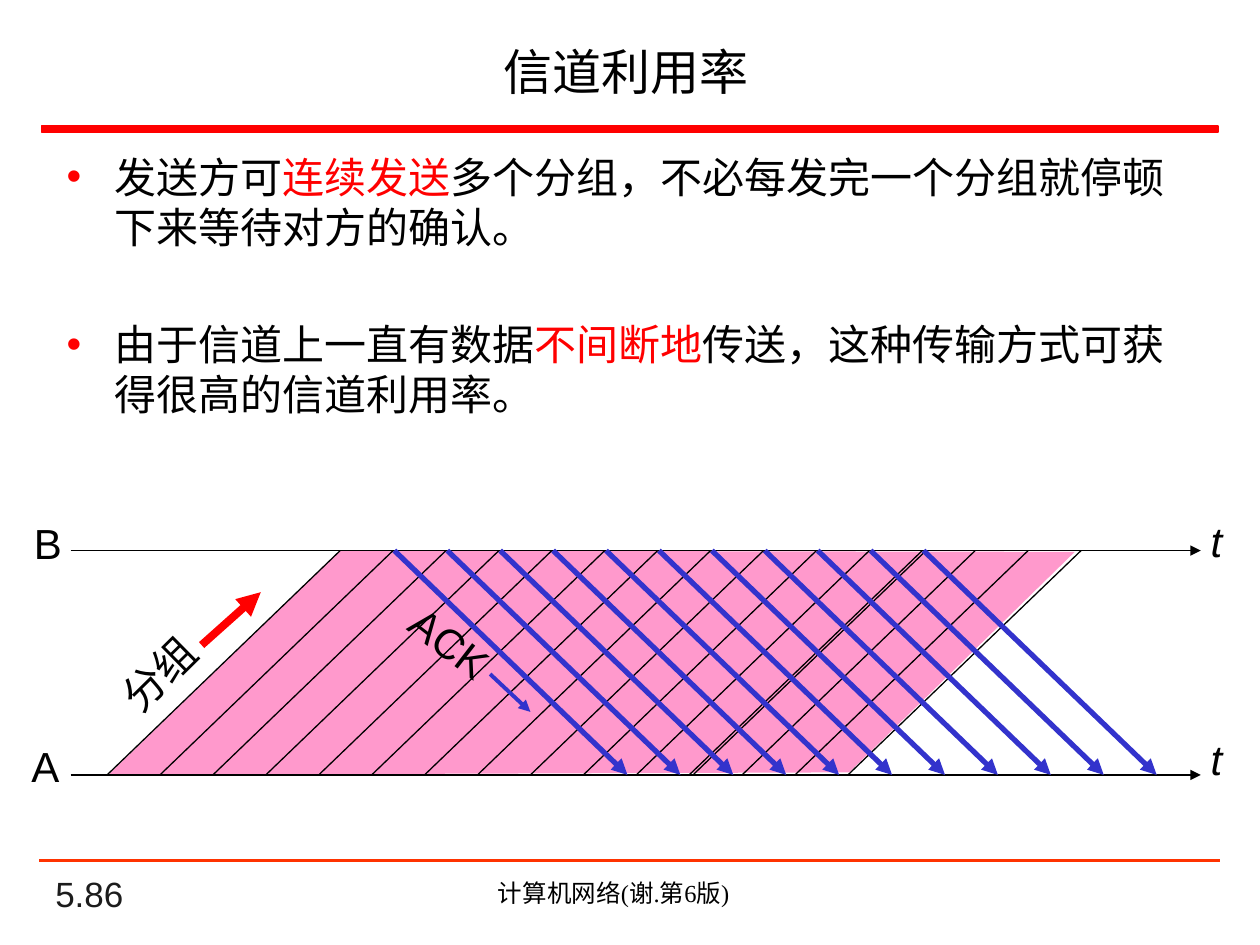
"""Build the channel utilisation slide with its pipelined packet timing diagram."""
from pptx import Presentation
from pptx.dml.color import RGBColor
from pptx.enum.shapes import MSO_CONNECTOR, MSO_SHAPE
from pptx.enum.text import MSO_ANCHOR, PP_ALIGN
from pptx.oxml.ns import qn
from pptx.util import Inches, Pt
from lxml.etree import SubElement

BLACK = RGBColor(0x00, 0x00, 0x00)
GRAY = RGBColor(0x1C, 0x1C, 0x1C)
RED = RGBColor(0xFF, 0x00, 0x00)
ORANGE = RGBColor(0xFF, 0x33, 0x00)
PINK = RGBColor(0xFF, 0x99, 0xCC)
BLUE = RGBColor(0x33, 0x33, 0xCC)

TOP, BOTTOM = 4.37, 6.15
STEP, SLANT = 0.42, 1.85

prs = Presentation()
prs.slide_width, prs.slide_height = Inches(10), Inches(7.5)
s = prs.slides.add_slide(prs.slide_layouts[6])


def add_text(text, x, y, w, h, size=24, font="Arial", color=BLACK, align=PP_ALIGN.LEFT,
             anchor=MSO_ANCHOR.TOP, wrap=True, italic=False, rotation=0, bullet=False, gap=0):
    """Add a text box; newlines part paragraphs and bars enclose red words."""
    box = s.shapes.add_textbox(Inches(x), Inches(y), Inches(w), Inches(h))
    box.rotation = rotation
    tf = box.text_frame
    tf.word_wrap, tf.vertical_anchor = wrap, anchor
    for i, para in enumerate(text.split("\n")):
        p = tf.paragraphs[0] if i == 0 else tf.add_paragraph()
        p.alignment = align
        p.space_before = Pt(gap if i else 0)
        if bullet:
            pPr = p._p.get_or_add_pPr()
            pPr.set("marL", str(Inches(0.38)))
            pPr.set("indent", str(-Inches(0.38)))
            clr = SubElement(pPr, qn("a:buClr"))
            SubElement(clr, qn("a:srgbClr"), val=str(RED))
            SubElement(pPr, qn("a:buFont"), typeface="Arial")
            SubElement(pPr, qn("a:buChar"), char="•")
        for j, part in enumerate(para.split("|")):
            r = p.add_run()
            r.text = part
            r.font.size, r.font.name, r.font.italic = Pt(size), font, italic
            r.font.color.rgb = RED if j % 2 else color


def add_line(x1, y1, x2, y2, color=BLACK, width=0.75, arrow=False):
    """Add a straight line, with an arrowhead at its end if asked."""
    c = s.shapes.add_connector(MSO_CONNECTOR.STRAIGHT, Inches(x1), Inches(y1), Inches(x2), Inches(y2))
    c.line.color.rgb, c.line.width = color, Pt(width)
    if arrow:
        SubElement(c.line._get_or_add_ln(), qn("a:tailEnd"), type="triangle")
    SubElement(c._element.spPr, qn("a:effectLst"))


add_text("5.86", 0.34, 6.98, 2.08, 0.33, size=20, color=GRAY, anchor=MSO_ANCHOR.BOTTOM)
bar = s.shapes.add_shape(MSO_SHAPE.RECTANGLE, Inches(0.33), Inches(1), Inches(9.34), Inches(0.05))
bar.shadow.inherit = False
bar.fill.solid()
bar.fill.fore_color.rgb = bar.line.color.rgb = RED
bar.line.width = Pt(1)
add_line(0.31, 6.83, 9.68, 6.83, ORANGE, 1.5)
add_text("计算机网络(谢.第6版)", 2.83, 6.92, 4.08, 0.34, size=14, font="Times New Roman",
         align=PP_ALIGN.CENTER)
add_text("信道利用率", 0.34, 0.22, 9.25, 0.69, size=28, font="Lato", align=PP_ALIGN.CENTER,
         anchor=MSO_ANCHOR.MIDDLE)
add_text("发送方可|连续发送|多个分组，不必每发完一个分组就停顿下来等待对方的确认。\n"
         "由于信道上一直有数据|不间断地|传送，这种传输方式可获得很高的信道利用率。",
         0.43, 1.15, 9.21, 2.44, font="Lato", bullet=True, gap=38)

fb = s.shapes.build_freeform(Inches(0.86), Inches(BOTTOM), scale=1.0)
fb.add_line_segments([(Inches(x), Inches(y)) for x, y in
                      [(2.7, TOP), (8.53, 4.38), (6.74, 6.13)]])
band = fb.convert_to_shape()
band.shadow.inherit = False
band.fill.solid()
band.fill.fore_color.rgb = PINK
band.line.fill.background()

for y in (BOTTOM, TOP):
    add_line(0.56, y, 9.53, y, arrow=True)
for x in [0.85 + STEP * i for i in range(15)] + [5.5]:
    add_line(x, BOTTOM, x + SLANT, TOP)
for i in range(11):
    x = 3.13 + STEP * i
    add_line(x, TOP, x + SLANT, BOTTOM, BLUE, 3, arrow=True)
add_line(1.6, 5.12, 2.07, 4.7, RED, 4.5, arrow=True)
add_line(3.89, 5.35, 4.21, 5.65, BLUE, 2.25, arrow=True)

for text, x, y, w, rotation, italic in [
    ("B", 0.17, 4.06, 0.42, 0, False),
    ("A", 0.15, 5.83, 0.42, 0, False),
    ("t", 9.51, 4.04, 0.29, 0, True),
    ("t", 9.51, 5.77, 0.29, 0, True),
    ("分组", 0.83, 5.09, 0.87, 315.3, False),
    ("ACK", 3.13, 4.85, 0.89, 37.8, False),
]:
    add_text(text, x, y, w, 0.5, wrap=False, italic=italic, rotation=rotation)

prs.save("out.pptx")
